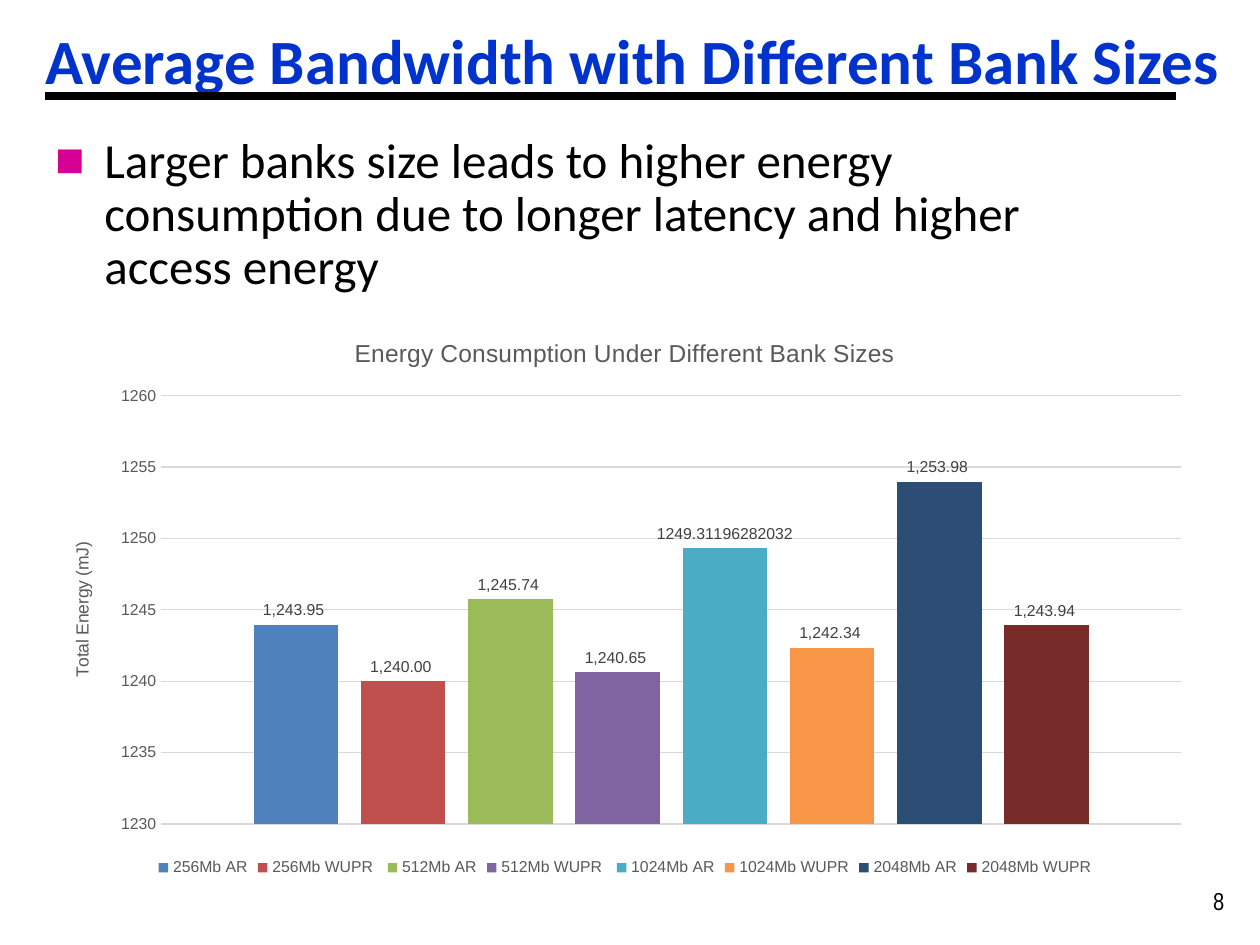
"""Build a slide on energy consumption under different bank sizes."""
from lxml import etree
from pptx import Presentation
from pptx import util as u
from pptx.chart import data as chart_data
from pptx.dml.color import RGBColor
from pptx.enum import chart as kinds, shapes, text
from pptx.oxml import ns

BLACK = RGBColor(0x00, 0x00, 0x00)
BLUE = RGBColor(0x00, 0x33, 0xCC)
GREY = RGBColor(0x59, 0x59, 0x59)
DARK_GREY = RGBColor(0x40, 0x40, 0x40)
LIGHT_GREY = RGBColor(0xD9, 0xD9, 0xD9)
BULLET = "D60093"
LABEL_FORMAT = r"#,##0.00_);[Red]\(#,##0.00\)"
SERIES = [
    ("256Mb AR", 1243.95, RGBColor(0x4F, 0x81, 0xBD), LABEL_FORMAT),
    ("256Mb WUPR ", 1240, RGBColor(0xC0, 0x50, 0x4D), LABEL_FORMAT),
    ("512Mb AR", 1245.74, RGBColor(0x9B, 0xBB, 0x59), LABEL_FORMAT),
    ("512Mb WUPR ", 1240.65, RGBColor(0x80, 0x64, 0xA2), LABEL_FORMAT),
    ("1024Mb AR", 1249.31196282032, RGBColor(0x4B, 0xAC, 0xC6), "General"),
    ("1024Mb WUPR", 1242.34, RGBColor(0xF7, 0x96, 0x46), LABEL_FORMAT),
    ("2048Mb AR", 1253.98, RGBColor(0x2C, 0x4D, 0x75), LABEL_FORMAT),
    ("2048Mb WUPR", 1243.94, RGBColor(0x77, 0x2C, 0x2A), LABEL_FORMAT),
]


def style_font(font, name, size, color, bold=False):
    """Set the typeface, size, weight and colour of a font."""
    for key, value in {"name": name, "size": u.Pt(size), "bold": bold}.items():
        setattr(font, key, value)
    font.color.rgb = color


def write(frame, words, settings, *style):
    """Put one styled paragraph in a text frame and return it."""
    for key, value in settings.items():
        setattr(frame, key, value)
    para = frame.paragraphs[0]
    para.alignment = text.PP_ALIGN.LEFT
    span = para.add_run()
    span.text = words
    style_font(span.font, *style)
    return para


deck = Presentation()
deck.slide_width, deck.slide_height = u.Inches(10), u.Inches(7.5)
page = deck.slides.add_slide(deck.slide_layouts[5])
left = u.Inches(0.36)

number = page.shapes.add_textbox(u.Inches(9.53), u.Inches(6.98), u.Inches(0.47), u.Inches(0.33))
write(number.text_frame, "8", {"word_wrap": True}, "Arial Narrow", 14, BLACK)

rule = page.shapes.add_connector(
    shapes.MSO_CONNECTOR.STRAIGHT, left, u.Inches(0.76), u.Inches(9.33), u.Inches(0.76))
rule.line.width = u.Pt(4.5)
rule.line.color.rgb = BLACK
etree.SubElement(rule.element.spPr, ns.qn("a:effectLst"))

title = page.shapes.title
bounds = {"left": left, "top": u.Inches(0.11),
          "width": deck.slide_width - left, "height": u.Inches(0.71)}
for key, value in bounds.items():
    setattr(title, key, value)
title_settings = {"vertical_anchor": text.MSO_ANCHOR.BOTTOM, "margin_left": 0,
                  "word_wrap": True, "auto_size": text.MSO_AUTO_SIZE.NONE}
write(title.text_frame, "Average Bandwidth with Different Bank Sizes",
      title_settings, "Calibri", 36, BLUE, True)

body = page.shapes.add_textbox(u.Inches(0.34), u.Inches(1.03), u.Inches(8.94), u.Inches(1.31))
para = write(body.text_frame,
             "Larger banks size leads to higher energy consumption due to longer "
             "latency and higher access energy",
             {"word_wrap": True}, "Calibri", 28, BLACK)
para.line_spacing = 0.9
layout = para._p.get_or_add_pPr()
layout.set("marL", str(u.Inches(0.39)))
layout.set("indent", str(-u.Inches(0.39)))
bullet_color = etree.SubElement(layout, ns.qn("a:buClr"))
etree.SubElement(bullet_color, ns.qn("a:srgbClr"), val=BULLET)
etree.SubElement(layout, ns.qn("a:buFont"), typeface="Arial")
etree.SubElement(layout, ns.qn("a:buChar"), char="■")

energy = chart_data.CategoryChartData()
energy.categories = ["1"]
for name, value, color, label_format in SERIES:
    energy.add_series(name, [value])
chart = page.shapes.add_chart(
    kinds.XL_CHART_TYPE.COLUMN_CLUSTERED, left, u.Inches(2.5),
    u.Inches(9.2), u.Inches(4.5), energy).chart
style_font(chart.font, "Arial", 10, BLACK)
write(chart.chart_title.text_frame, "Energy Consumption Under Different Bank Sizes",
      {}, "Arial", 14, GREY)
chart.chart_title.include_in_layout = False

chart.has_legend = True
chart.legend.position = kinds.XL_LEGEND_POSITION.BOTTOM
chart.legend.include_in_layout = False
style_font(chart.legend.font, "Arial", 9, GREY)

chart.category_axis.visible = False
axis = chart.value_axis
axis_settings = {"minimum_scale": 1230, "maximum_scale": 1260, "major_unit": 5,
                 "major_tick_mark": kinds.XL_TICK_MARK.NONE,
                 "minor_tick_mark": kinds.XL_TICK_MARK.NONE, "has_major_gridlines": True}
for key, value in axis_settings.items():
    setattr(axis, key, value)
axis.tick_labels.number_format = "General"
axis.tick_labels.number_format_is_linked = False
style_font(axis.tick_labels.font, "Arial", 9, GREY)
axis.format.line.fill.background()
axis.major_gridlines.format.line.width = u.Pt(0.75)
axis.major_gridlines.format.line.color.rgb = LIGHT_GREY
write(axis.axis_title.text_frame, "Total Energy (mJ)", {}, "Arial", 10, GREY)

plot = chart.plots[0]
for key, value in {"gap_width": 219, "overlap": -27, "vary_by_categories": False}.items():
    setattr(plot, key, value)
for series, (name, value, color, label_format) in zip(plot.series, SERIES):
    series.format.fill.solid()
    series.format.fill.fore_color.rgb = color
    series.invert_if_negative = False
    label_settings = {"show_value": True, "number_format": label_format,
                      "number_format_is_linked": False,
                      "position": kinds.XL_LABEL_POSITION.OUTSIDE_END}
    for key, setting in label_settings.items():
        setattr(series.data_labels, key, setting)
    style_font(series.data_labels.font, "Arial", 9, DARK_GREY)

deck.save("out.pptx")
